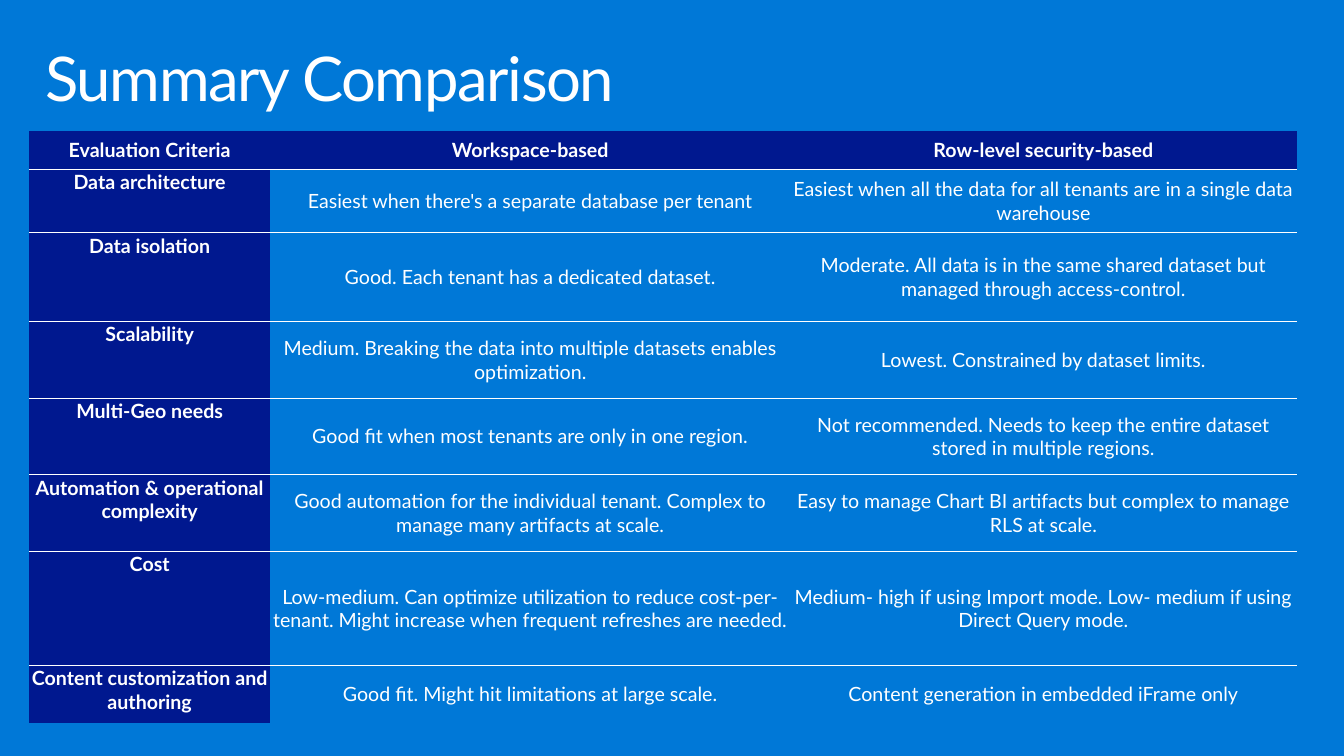
from pptx import Presentation
from pptx import util as u
from pptx.dml.color import RGBColor
from pptx.enum import text
from pptx.oxml import parse_xml
from pptx.oxml.ns import nsdecls

BLUE, NAVY, WHITE = "0078D7", "00188F", "FFFFFF"

COLS = [2.39, 5.16, 5.02]
HIGHS = [0.38, 0.63, 0.88, 0.76, 0.76, 0.76, 1.13, 0.57]
ROWS = [
    ("Evaluation Criteria", "Workspace-based", "Row-level security-based"),
    ("Data architecture",
     "Easiest when there's a separate database per tenant",
     "Easiest when all the data for all tenants are in a single data warehouse"),
    ("Data isolation",
     "Good. Each tenant has a dedicated dataset.",
     "Moderate. All data is in the same shared dataset but managed through access-control."),
    ("Scalability",
     "Medium. Breaking the data into multiple datasets enables optimization.",
     "Lowest. Constrained by dataset limits."),
    ("Multi-Geo needs",
     "Good fit when most tenants are only in one region.",
     "Not recommended. Needs to keep the entire dataset stored in multiple regions."),
    ("Automation & operational complexity",
     "Good automation for the individual tenant. Complex to manage many artifacts at scale.",
     "Easy to manage Chart BI artifacts but complex to manage RLS at scale."),
    ("Cost",
     "Low-medium. Can optimize utilization to reduce cost-per-tenant. "
     "Might increase when frequent refreshes are needed.",
     "Medium- high if using Import mode. Low- medium if using Direct Query mode."),
    ("Content customization and authoring",
     "Good fit. Might hit limitations at large scale.",
     "Content generation in embedded iFrame only"),
]


def color(code):
    return RGBColor.from_string(code)


def write(frame, words, size=14, bold=False, align=text.PP_ALIGN.CENTER,
          space=None, track=None):
    """Fill a text frame with one formatted paragraph."""
    para = frame.paragraphs[0]
    para.alignment = align
    if space:
        para.line_spacing = space
    run = para.add_run()
    run.text = words
    run.font.name = "Lato"
    run.font.size = u.Pt(size)
    run.font.bold = bold
    run.font.color.rgb = color(WHITE)
    if track:
        run.font._element.set("spc", str(track * 100))


class Deck:
    def __init__(self):
        self.show = Presentation()
        self.show.slide_width = u.Inches(13.33)
        self.show.slide_height = u.Inches(7.5)
        self.slide = self.show.slides.add_slide(self.show.slide_layouts[6])
        fill = self.slide.background.fill
        fill.solid()
        fill.fore_color.rgb = color(BLUE)

    def title(self, words, *place):
        box = self.slide.shapes.add_textbox(*map(u.Inches, place))
        frame = box.text_frame
        frame.word_wrap = True
        frame.vertical_anchor = text.MSO_ANCHOR.MIDDLE
        frame.margin_left = frame.margin_right = u.Inches(0.16)
        frame.margin_top = frame.margin_bottom = u.Inches(0.1)
        write(frame, words, size=44, align=text.PP_ALIGN.LEFT, space=0.9, track=-1)

    def edges(self, cell, lined):
        """Give a cell its borders; sides not in lined stay clear."""
        props = cell._tc.get_or_add_tcPr()
        for spot, side in enumerate("LRTB"):
            paint = (f'<a:solidFill><a:srgbClr val="{WHITE}"/></a:solidFill>'
                     if side in lined else "<a:noFill/>")
            props.insert(spot, parse_xml(
                f'<a:ln{side} {nsdecls("a")} w="12700">{paint}</a:ln{side}>'))

    def cell(self, cell, words, head, label, lined):
        cell.margin_left = cell.margin_right = u.Inches(0.01)
        cell.margin_top = cell.margin_bottom = u.Inches(0.01)
        top = label and not head
        cell.vertical_anchor = text.MSO_ANCHOR.TOP if top else text.MSO_ANCHOR.MIDDLE
        if head or label:
            cell.fill.solid()
            cell.fill.fore_color.rgb = color(NAVY)
        else:
            cell.fill.background()
        self.edges(cell, lined)
        write(cell.text_frame, words, bold=head or label)

    def table(self, rows, cols, highs, left, top):
        frame = self.slide.shapes.add_table(
            len(rows), len(cols), u.Inches(left), u.Inches(top),
            u.Inches(sum(cols)), u.Inches(sum(highs)))
        grid = frame.table
        grid.horz_banding = False
        for col, wide in zip(grid.columns, cols):
            col.width = u.Inches(wide)
        last = len(rows) - 1
        for r, (row, high) in enumerate(zip(rows, highs)):
            grid.rows[r].height = u.Inches(high)
            # Rules run between rows only
            lined = ("T" if r > 0 else "") + ("B" if r < last else "")
            for c, words in enumerate(row):
                self.cell(grid.cell(r, c), words, r == 0, c == 0, lined)


def main():
    deck = Deck()
    # Heading
    deck.title("Summary Comparison", 0.29, 0.32, 12.75, 0.98)
    # Comparison table
    deck.table(ROWS, COLS, HIGHS, 0.29, 1.3)
    deck.show.save("out.pptx")


if __name__ == "__main__":
    main()
